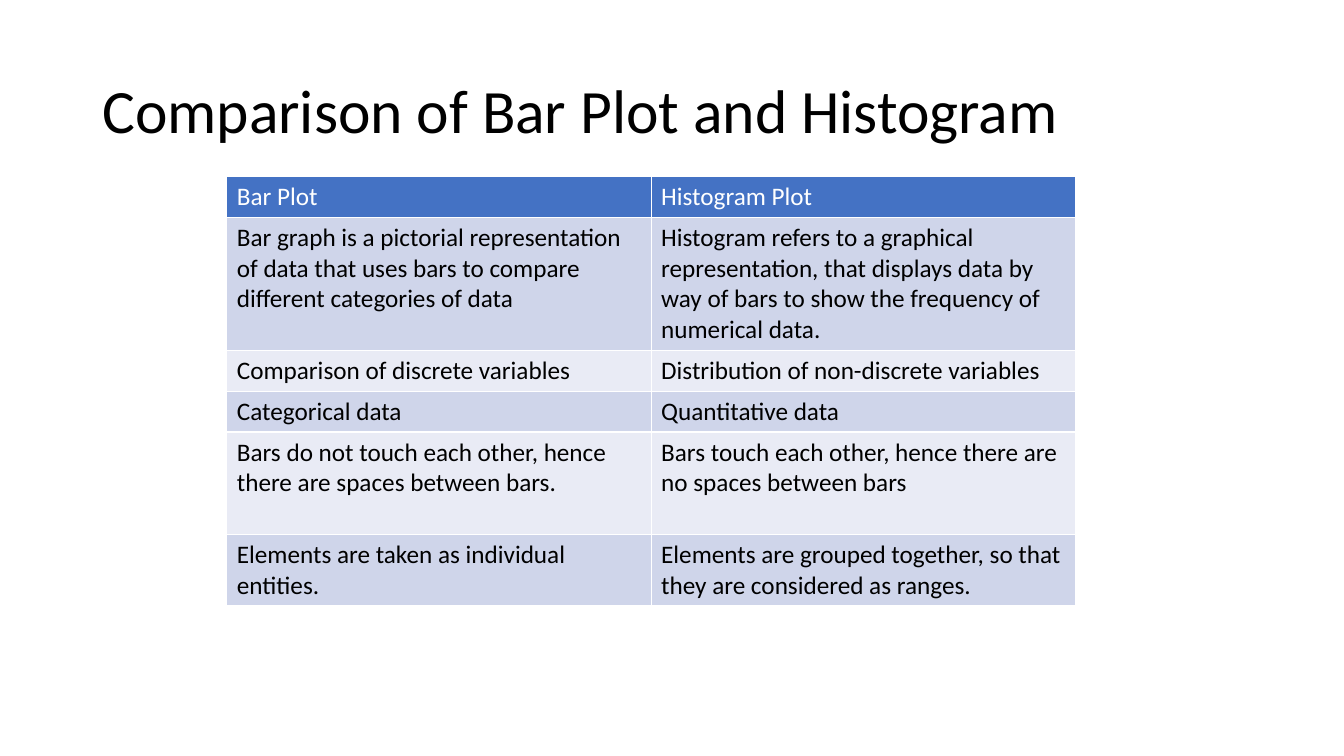
import pptx
import pptx.dml.color
import pptx.enum.text
import pptx.util

Pt = pptx.util.Pt
RGBColor = pptx.dml.color.RGBColor
Anchor = pptx.enum.text.MSO_ANCHOR

BLACK = RGBColor(0x00, 0x00, 0x00)
WHITE = RGBColor(0xFF, 0xFF, 0xFF)
HEADER_BLUE = RGBColor(0x44, 0x72, 0xC4)
BAND_DARK = RGBColor(0xCF, 0xD5, 0xEA)
BAND_LIGHT = RGBColor(0xE9, 0xEB, 0xF5)

TITLE_BOX = (66, 28.8, 828, 104.4)
TABLE_BOX = (162, 126, 606.2)
ROW_HEIGHTS = (29.2, 95, 29.2, 29.2, 73, 51.2)
COMPARISON = (
    ("Bar Plot", "Histogram Plot"),
    ("Bar graph is a pictorial representation of data that uses bars to compare "
     "different categories of data",
     "Histogram refers to a graphical representation, that displays data by way "
     "of bars to show the frequency of numerical data."),
    ("Comparison of discrete variables", "Distribution of non-discrete variables"),
    ("Categorical data", "Quantitative data"),
    ("Bars do not touch each other, hence there are spaces between bars.",
     "Bars touch each other, hence there are no spaces between bars"),
    ("Elements are taken as individual entities.",
     "Elements are grouped together, so that they are considered as ranges."),
)


def write_text(frame, text, size=18, color=BLACK, line_spacing=1.0):
    para = frame.paragraphs[0]
    para.line_spacing = line_spacing
    span = para.add_run()
    span.text = text
    span.font.name = "Calibri"
    span.font.size = Pt(size)
    span.font.bold = False
    span.font.color.rgb = color


def add_title(page, box, text):
    frame = page.shapes.add_textbox(*map(Pt, box)).text_frame
    frame.word_wrap = True
    frame.vertical_anchor = Anchor.MIDDLE
    write_text(frame, text, size=44, line_spacing=0.9)


def add_comparison_table(page, box, rows, heights):
    left, top, width = box
    column_count = len(rows[0])
    table = page.shapes.add_table(
        len(rows), column_count, Pt(left), Pt(top), Pt(width), Pt(sum(heights))
    ).table
    for column in table.columns:
        column.width = Pt(width / column_count)
    for row_index, (texts, height) in enumerate(zip(rows, heights)):
        table.rows[row_index].height = Pt(height)
        is_header = row_index == 0
        band = BAND_DARK if row_index % 2 else BAND_LIGHT
        for column_index, text in enumerate(texts):
            cell = table.cell(row_index, column_index)
            cell.fill.solid()
            cell.fill.fore_color.rgb = HEADER_BLUE if is_header else band
            write_text(cell.text_frame, text, color=WHITE if is_header else BLACK)
    for row_index in (1, 2):
        table.cell(row_index, 1).vertical_anchor = Anchor.MIDDLE


def main():
    deck = pptx.Presentation()
    deck.slide_width, deck.slide_height = Pt(960), Pt(540)
    page = deck.slides.add_slide(deck.slide_layouts[6])
    add_title(page, TITLE_BOX, "Comparison of Bar Plot and Histogram")
    add_comparison_table(page, TABLE_BOX, COMPARISON, ROW_HEIGHTS)
    deck.save("out.pptx")


if __name__ == "__main__":
    main()
